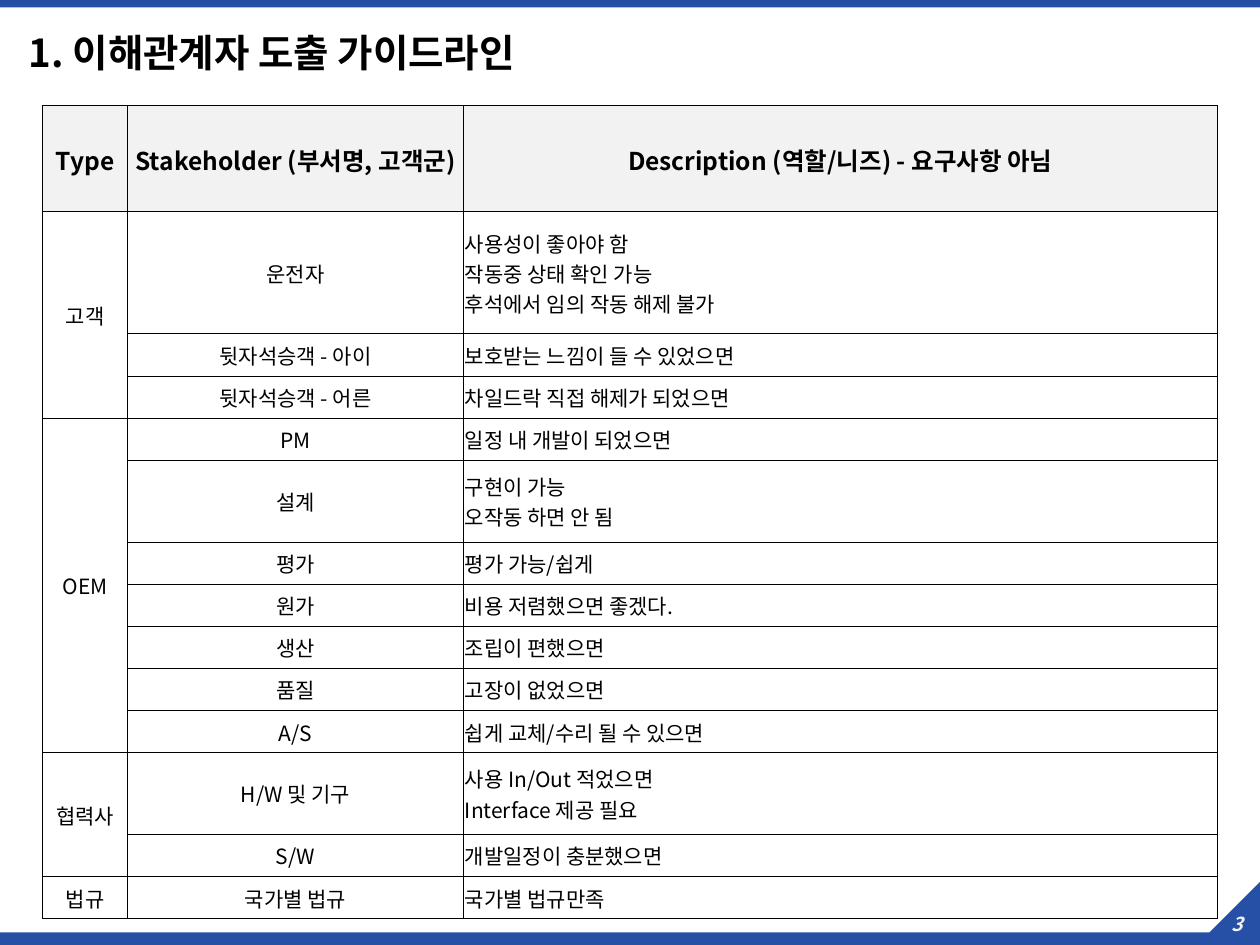
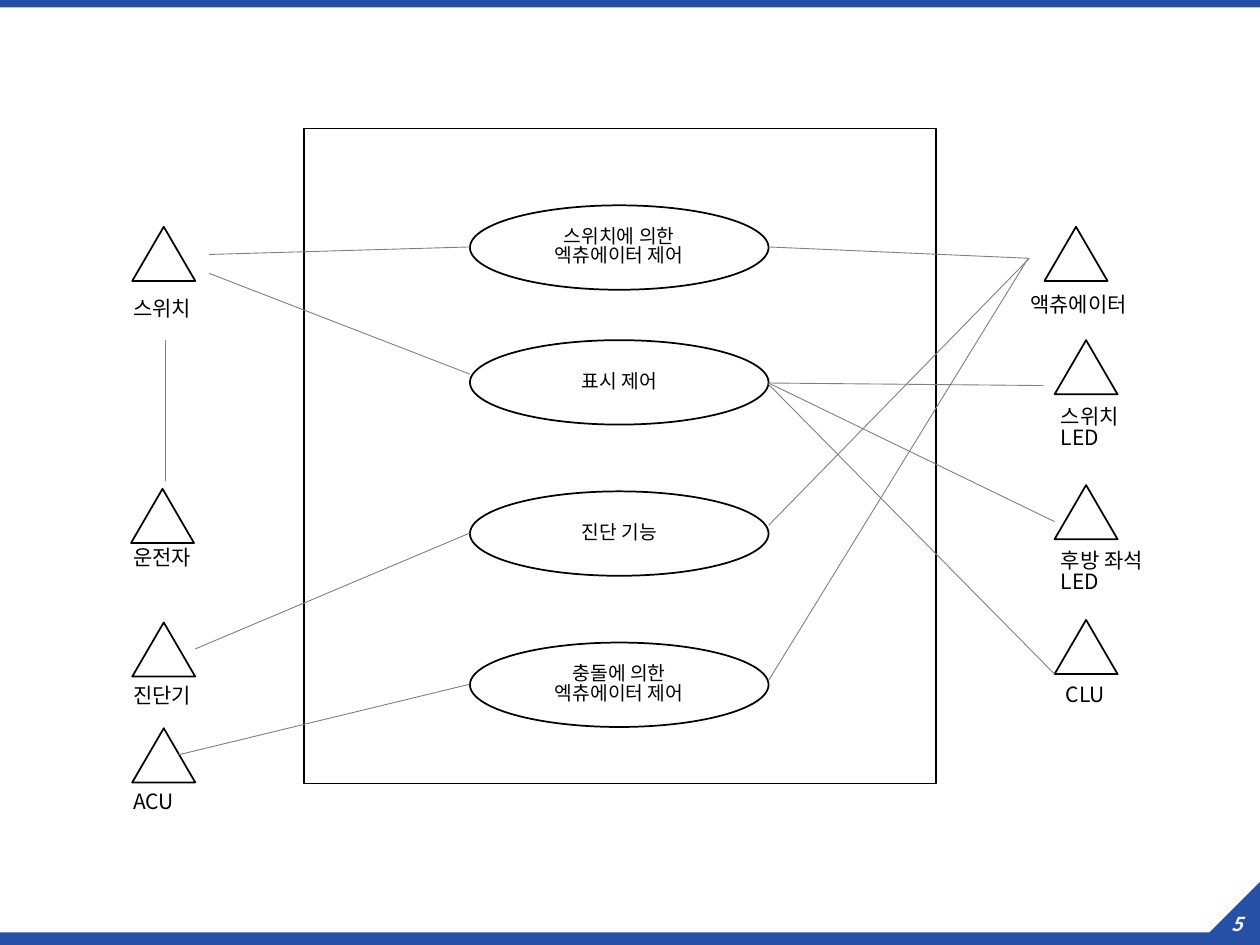
from lxml import etree
from pptx import Presentation
from pptx import util as u
from pptx.dml.color import RGBColor
from pptx.enum import shapes, text
from pptx.oxml import ns

BLUE = RGBColor(0x25, 0x50, 0xA6)
BLACK = RGBColor(0x00, 0x00, 0x00)
WHITE = RGBColor(0xFF, 0xFF, 0xFF)
PALE = RGBColor(0xF2, 0xF2, 0xF2)
GREY = RGBColor(0x80, 0x80, 0x80)
FONT = "Noto Sans CJK KR"

CENTER = text.PP_ALIGN.CENTER
LEFT = text.PP_ALIGN.LEFT
MIDDLE = text.MSO_ANCHOR.MIDDLE
TIGHT = 0.83

TITLE = {"font": {"size": u.Pt(22), "bold": True}, "para": {"alignment": LEFT, "line_spacing": 0.9}}
NUMBER = {"font": {"size": u.Pt(11), "bold": True, "italic": True}, "para": {"alignment": CENTER}, "color": PALE}
HEADER = {"font": {"size": u.Pt(14), "bold": True}, "para": {"alignment": CENTER}}
NAME = {"font": {"size": u.Pt(12), "bold": False}, "para": {"alignment": CENTER}}
NEED = {"font": {"size": u.Pt(12), "bold": False}, "para": {"alignment": LEFT}}
USE_CASE = {"font": {"size": u.Pt(11)}, "para": {"alignment": CENTER, "line_spacing": TIGHT}}
ACTOR = {"font": {"size": u.Pt(12)}, "para": {"alignment": LEFT, "line_spacing": TIGHT}}

deck = Presentation()
deck.slide_width = u.Inches(10)
deck.slide_height = u.Inches(7.5)
UNIT = deck.slide_width // 100


def grid(*cells):
    return [u.Emu(round(cell * UNIT)) for cell in cells]


def write(frame, words, style):
    frame.word_wrap = True
    for index, line in enumerate(words.split("\n")):
        para = frame.add_paragraph() if index else frame.paragraphs[0]
        for key, value in style["para"].items():
            setattr(para, key, value)
        span = para.add_run()
        span.text = line
        span.font.name = FONT
        span.font.color.rgb = style.get("color", BLACK)
        for key, value in style["font"].items():
            setattr(span.font, key, value)
        etree.SubElement(span.font._element, ns.qn("a:ea"), typeface=FONT)


table_page = deck.slides.add_slide(deck.slide_layouts[5])
diagram_page = deck.slides.add_slide(deck.slide_layouts[6])

for page, number in ((table_page, "3"), (diagram_page, "5")):
    top_band = page.shapes.add_shape(shapes.MSO_SHAPE.RECTANGLE, *grid(0, 0, 100, 0.6))
    outline = page.shapes.build_freeform(0, 74, scale=UNIT)
    outline.add_line_segments([(95.7, 74), (100, 70.5), (100, 75), (0, 75)])
    bottom_band = outline.convert_to_shape()
    for band in (top_band, bottom_band):
        band.shadow.inherit = False
        band.fill.solid()
        band.fill.fore_color.rgb = BLUE
        band.line.fill.background()
    box = page.shapes.add_textbox(*grid(96.1, 71.9, 4.2, 2.9))
    for key in ("margin_left", "margin_right", "margin_top", "margin_bottom"):
        setattr(box.text_frame, key, 0)
    box.text_frame.vertical_anchor = MIDDLE
    write(box.text_frame, number, NUMBER)

title = table_page.shapes.title
title.left, title.top, title.width, title.height = grid(1.3, 2.1, 94.7, 4.6)
title.text_frame.auto_size = text.MSO_AUTO_SIZE.NONE
title.text_frame.vertical_anchor = MIDDLE
write(title.text_frame, "1. 이해관계자 도출 가이드라인", TITLE)

stakeholders = [
    ("Type", "Stakeholder (부서명, 고객군)", "Description (역할/니즈) - 요구사항 아님"),
    ("고객", "운전자", "사용성이 좋아야 함\n작동중 상태 확인 가능\n후석에서 임의 작동 해제 불가"),
    ("", "뒷자석승객 - 아이", "보호받는 느낌이 들 수 있었으면"),
    ("", "뒷자석승객 - 어른", "차일드락 직접 해제가 되었으면"),
    ("OEM", "PM", "일정 내 개발이 되었으면"),
    ("", "설계", "구현이 가능\n오작동 하면 안 됨"),
    ("", "평가", "평가 가능/쉽게"),
    ("", "원가", "비용 저렴했으면 좋겠다."),
    ("", "생산", "조립이 편했으면"),
    ("", "품질", "고장이 없었으면"),
    ("", "A/S", "쉽게 교체/수리 될 수 있으면"),
    ("협력사", "H/W 및 기구", "사용 In/Out 적었으면\nInterface 제공 필요"),
    ("", "S/W", "개발일정이 충분했으면"),
    ("법규", "국가별 법규", "국가별 법규만족"),
]
HEADER_HEIGHT = 8.4
HEIGHT_BY_LINES = {1: 3.34, 2: 6.5, 3: 9.7}

table = table_page.shapes.add_table(len(stakeholders), 3, *grid(3.4, 8.4, 93.2, 64.5)).table
table.first_row = False
table.horz_banding = False
for column, width in zip(table.columns, grid(6.7, 26.7, 59.8)):
    column.width = width
for first, last in ((1, 3), (4, 10), (11, 12)):
    table.cell(first, 0).merge(table.cell(last, 0))

for row, record in enumerate(stakeholders):
    lines = record[2].count("\n") + 1
    table.rows[row].height = grid(HEIGHT_BY_LINES[lines] if row else HEADER_HEIGHT)[0]
    for column, words in enumerate(record):
        cell = table.cell(row, column)
        cell.vertical_anchor = MIDDLE
        for key, margin in zip(("margin_left", "margin_right", "margin_top", "margin_bottom"), grid(0.1, 0.1, 0.1, 0)):
            setattr(cell, key, margin)
        for side in ("lnL", "lnR", "lnT", "lnB"):
            border = etree.SubElement(cell._tc.get_or_add_tcPr(), ns.qn(f"a:{side}"), w=str(u.Pt(0.5)))
            paint = etree.SubElement(border, ns.qn("a:solidFill"))
            etree.SubElement(paint, ns.qn("a:srgbClr"), val=str(BLACK))
        cell.fill.solid()
        cell.fill.fore_color.rgb = WHITE if row else PALE
        if words:
            write(cell.text_frame, words, HEADER if row == 0 else NEED if column == 2 else NAME)

CASE_LEFT, CASE_WIDTH, CASE_HEIGHT = 37.3, 23.7, 6.7
CASE_RIGHT = CASE_LEFT + CASE_WIDTH
use_cases = [
    (16.3, "스위치에 의한\n엑츄에이터 제어"),
    (27, "표시 제어"),
    (39, "진단 기능"),
    (51, "충돌에 의한\n엑츄에이터 제어"),
]
actors = [
    ("스위치", 10.5, 18, 9.6, 23.3, 7.1),
    ("운전자", 10.4, 38.8, 9.6, 43.1, 7.1),
    ("진단기", 10.5, 49.4, 9.6, 54, 7.1),
    ("ACU", 10.5, 57.8, 9.6, 62.4, 7.1),
    ("액츄에이터", 82.9, 18, 80.8, 23, 15.7),
    ("스위치LED", 83.7, 27, 83.2, 31.9, 7.1),
    ("후방 좌석 LED", 83.7, 38.5, 83.2, 43.3, 9.5),
    ("CLU", 83.7, 49.2, 83.6, 53.9, 9.5),
]
links = [
    (13.1, 38.2, 13.1, 27),
    (16.6, 20.2, CASE_LEFT, 19.6),
    (16.6, 21.7, CASE_LEFT, 29.7),
    (15.5, 51.5, CASE_LEFT, 42.3),
    (14.2, 59.9, CASE_LEFT, 54.3),
    (CASE_RIGHT, 19.6, 81.7, 20.5),
    (CASE_RIGHT, 30.4, 82.8, 30.6),
    (CASE_RIGHT, 30.4, 83.7, 41.4),
    (CASE_RIGHT, 30.5, 83.7, 53.5),
    (CASE_RIGHT, 41.7, 81.7, 20.5),
    (CASE_RIGHT, 54, 81.6, 20.5),
]

outlines = [(shapes.MSO_SHAPE.RECTANGLE, (24.1, 10.2, 50.2, 52), "")]
outlines += [(shapes.MSO_SHAPE.OVAL, (CASE_LEFT, top, CASE_WIDTH, CASE_HEIGHT), words) for top, words in use_cases]
outlines += [(shapes.MSO_SHAPE.ISOSCELES_TRIANGLE, (left, top, 5, 4.3), "") for _, left, top, *_ in actors]
for kind, place, words in outlines:
    shape = diagram_page.shapes.add_shape(kind, *grid(*place))
    shape.shadow.inherit = False
    shape.fill.solid()
    shape.fill.fore_color.rgb = WHITE
    shape.line.color.rgb = BLACK
    shape.line.width = u.Pt(1)
    if words:
        shape.text_frame.vertical_anchor = MIDDLE
        write(shape.text_frame, words, USE_CASE)

for words, _, _, left, top, width in actors:
    label = diagram_page.shapes.add_textbox(*grid(left, top, width, 3))
    write(label.text_frame, words, ACTOR)

for ends in links:
    link = diagram_page.shapes.add_connector(shapes.MSO_CONNECTOR.STRAIGHT, *grid(*ends))
    link.line.color.rgb = GREY
    link.line.width = u.Pt(0.5)
    etree.SubElement(link._element.spPr, ns.qn("a:effectLst"))

deck.save("out.pptx")
